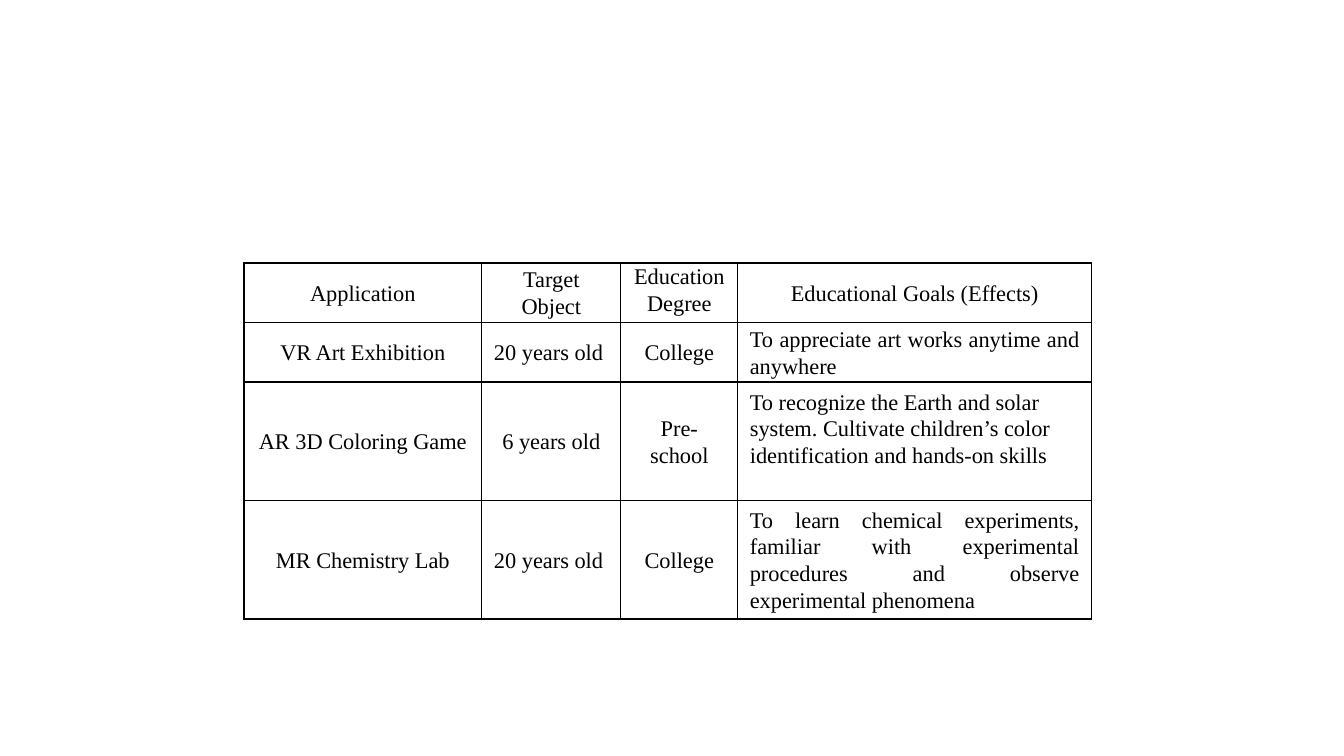
import pptx
import pptx.util
import pptx.dml.color
import pptx.enum.text
import pptx.oxml
import pptx.oxml.ns
from lxml import etree

Inches = pptx.util.Inches
Pt = pptx.util.Pt
ALIGN = pptx.enum.text.PP_ALIGN
ANCHOR = pptx.enum.text.MSO_ANCHOR

SLIDE_WIDTH, SLIDE_HEIGHT = Inches(13.33), Inches(7.5)
COLORS = {"ink": "000000", "paper": "FFFFFF"}
FONT = {"name": "Times New Roman", "size": Pt(16), "bold": False}
CELL_FORMAT = {
    "margin_left": Inches(0.12),
    "margin_right": Inches(0.12),
    "margin_top": 0,
    "margin_bottom": 0,
    "vertical_anchor": ANCHOR.MIDDLE,
}
TABLE_FLAGS = {"first_row": False, "horz_banding": False}
LEFT_PERCENT, TOP_PERCENT = 18.15, 34.8
COLUMN_PERCENTS = [17.7, 10.35, 8.7, 26.33]
ROW_PERCENTS = [7.87, 7.87, 15.67, 15.67]

APPLICATIONS = [
    ["Application", "Target Object", "Education Degree", "Educational Goals (Effects)"],
    ["VR Art Exhibition", "20 years old ", "College",
     "To appreciate art works anytime and anywhere"],
    ["AR 3D Coloring Game", "6 years old", "Pre-school",
     "To recognize the Earth and solar system. Cultivate children\u2019s color "
     "identification and hands-on skills"],
    ["MR Chemistry Lab", "20 years old ", "College",
     "To learn chemical experiments, familiar with experimental procedures "
     "and observe experimental phenomena"],
]
ALIGNMENTS = {(1, 3): ALIGN.JUSTIFY, (2, 3): ALIGN.LEFT, (3, 3): ALIGN.JUSTIFY}
CELL_EXCEPTIONS = {
    (0, 2): {"vertical_anchor": ANCHOR.TOP},
    (2, 3): {"margin_bottom": Inches(0.26)},
}


def across(percent):
    return round(SLIDE_WIDTH * percent / 100)


def down(percent):
    return round(SLIDE_HEIGHT * percent / 100)


def rgb(color):
    return pptx.dml.color.RGBColor.from_string(COLORS[color])


def apply_format(target, values):
    for attribute, value in values.items():
        setattr(target, attribute, value)


def add_borders(cell, color, width):
    qn = pptx.oxml.ns.qn
    properties = cell._tc.get_or_add_tcPr()
    for position, side in enumerate(("a:lnL", "a:lnR", "a:lnT", "a:lnB")):
        border = etree.Element(qn(side), w=str(width))
        fill = etree.SubElement(border, qn("a:solidFill"))
        etree.SubElement(fill, qn("a:srgbClr"), val=COLORS[color])
        properties.insert(position, border)


def fill_cell(cell, text, alignment, exceptions):
    apply_format(cell, {**CELL_FORMAT, **exceptions})
    cell.fill.solid()
    cell.fill.fore_color.rgb = rgb("paper")
    paragraph = cell.text_frame.paragraphs[0]
    apply_format(paragraph, {"alignment": alignment, "line_spacing": 1.07})
    run = paragraph.add_run()
    run.text = text
    apply_format(run.font, FONT)
    run.font.color.rgb = rgb("ink")
    add_borders(cell, "ink", Pt(1))


def add_application_table(slide):
    frame = slide.shapes.add_table(
        len(ROW_PERCENTS), len(COLUMN_PERCENTS),
        across(LEFT_PERCENT), down(TOP_PERCENT),
        across(sum(COLUMN_PERCENTS)), down(sum(ROW_PERCENTS)))
    table = frame.table
    apply_format(table, TABLE_FLAGS)
    for column, percent in zip(table.columns, COLUMN_PERCENTS):
        column.width = across(percent)
    for row, percent in zip(table.rows, ROW_PERCENTS):
        row.height = down(percent)
    for r, entries in enumerate(APPLICATIONS):
        for c, text in enumerate(entries):
            fill_cell(table.cell(r, c), text,
                      ALIGNMENTS.get((r, c), ALIGN.CENTER),
                      CELL_EXCEPTIONS.get((r, c), {}))


def main():
    deck = pptx.Presentation()
    apply_format(deck, {"slide_width": SLIDE_WIDTH, "slide_height": SLIDE_HEIGHT})
    slide = deck.slides.add_slide(deck.slide_layouts[6])
    add_application_table(slide)
    deck.save("out.pptx")


main()
